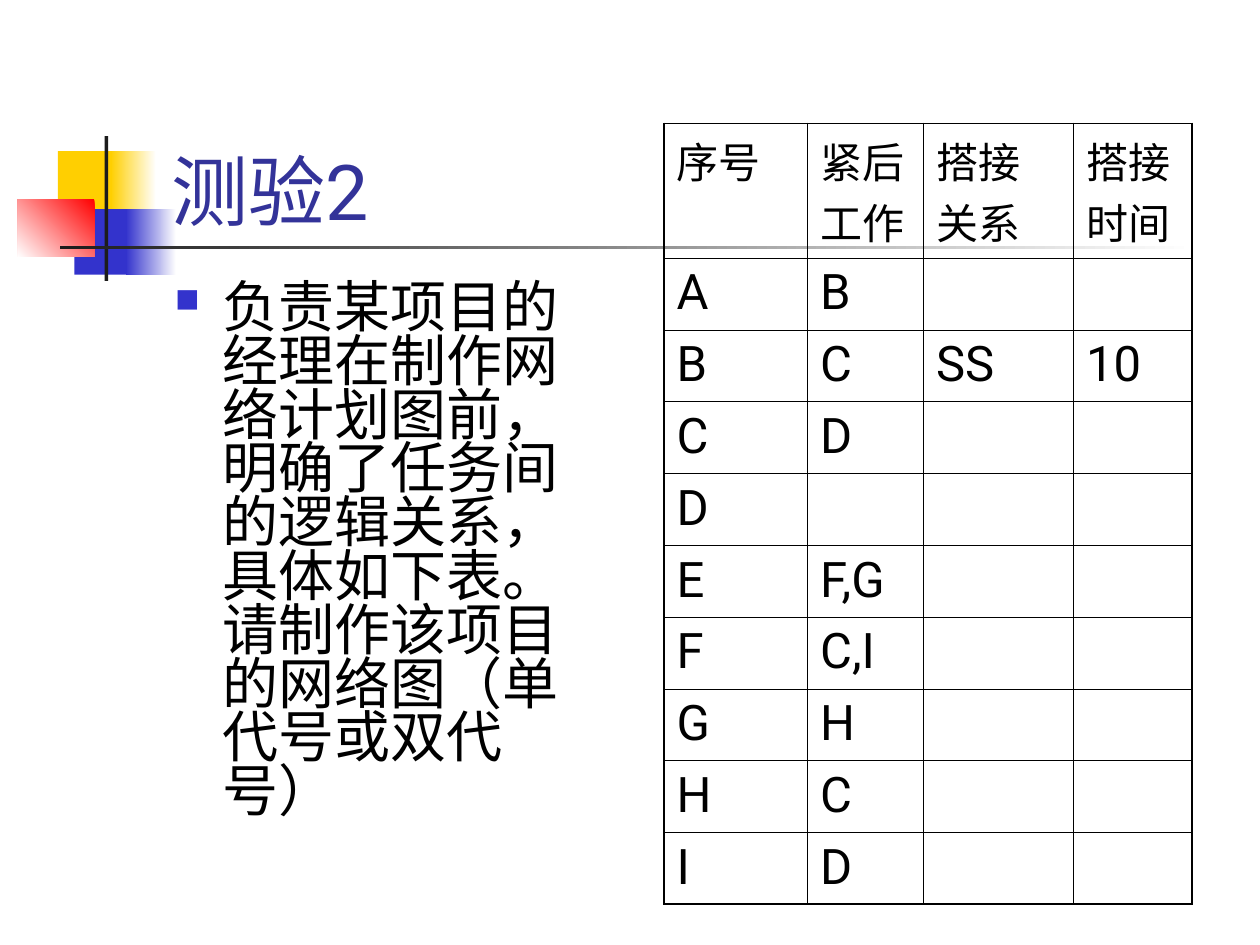
from lxml import etree
from pptx import Presentation
from pptx.dml.color import RGBColor
from pptx.enum.shapes import MSO_SHAPE
from pptx.enum.text import MSO_ANCHOR, MSO_AUTO_SIZE, PP_ALIGN
from pptx.oxml import parse_xml
from pptx.oxml.ns import nsdecls, qn
from pptx.util import Inches, Pt

RECTANGLE = MSO_SHAPE.RECTANGLE
BOTTOM = MSO_ANCHOR.BOTTOM
NO_AUTOFIT = MSO_AUTO_SIZE.NONE
LEFT = PP_ALIGN.LEFT

WHITE = RGBColor(0xFF, 0xFF, 0xFF)
BLACK = RGBColor(0x00, 0x00, 0x00)
CHARCOAL = RGBColor(0x1C, 0x1C, 0x1C)
YELLOW = RGBColor(0xFF, 0xCF, 0x01)
BLUE = RGBColor(0x33, 0x33, 0xCC)
RED = RGBColor(0xFF, 0x00, 0x00)
NAVY = RGBColor(0x33, 0x33, 0x99)
FONT = "Roboto"
THIN, THICK = 0.45, 1.08


def add_run(para, text, size, color):
    span = para.add_run()
    span.text = text
    span.font.name = FONT
    span.font.size = Pt(size)
    span.font.color.rgb = color


def add_border(cell, position, side, width):
    line = parse_xml(
        f'<a:{side} {nsdecls("a")} w="{Pt(width)}"><a:solidFill>'
        f'<a:srgbClr val="{BLACK}"/></a:solidFill></a:{side}>'
    )
    cell._tc.get_or_add_tcPr().insert(position, line)


deck = Presentation()
deck.slide_width = Inches(10)
deck.slide_height = Inches(7.5)
page = deck.slides.add_slide(deck.slide_layouts[5])

decorations = [
    (0.46, 1.2, 0.48, 0.52, [YELLOW], None),
    (0.88, 1.2, 0.36, 0.52, [WHITE, YELLOW], 180),
    (0.59, 1.66, 0.46, 0.52, [BLUE], None),
    (1, 1.66, 0.4, 0.52, [WHITE, BLUE], 180),
    (0.14, 1.58, 0.61, 0.46, [RED, WHITE], 225),
    (0.83, 1.08, 0.03, 1.15, [CHARCOAL], None),
    (0.48, 1.95, 9, 0.03, [WHITE, CHARCOAL], 180),
]
for left, top, width, height, colors, angle in decorations:
    block = page.shapes.add_shape(
        RECTANGLE, Inches(left), Inches(top), Inches(width), Inches(height)
    )
    block.shadow.inherit = False
    block.line.fill.background()
    if angle is None:
        block.fill.solid()
        block.fill.fore_color.rgb = colors[0]
    else:
        block.fill.gradient()
        block.fill.gradient_angle = angle
        for stop, color in zip(block.fill.gradient_stops, colors):
            stop.color.rgb = color

title = page.shapes.title
page.shapes._spTree.append(title._element)
title.left, title.top = Inches(1.26), Inches(0.67)
title.width, title.height = Inches(8.52), Inches(1.25)
title.text_frame.auto_size = NO_AUTOFIT
title.text_frame.vertical_anchor = BOTTOM
title.text_frame.word_wrap = True
title_para = title.text_frame.paragraphs[0]
title_para.alignment = LEFT
add_run(title_para, "测验2", 44, NAVY)

body = page.shapes.add_textbox(Inches(1.29), Inches(2.21), Inches(3.51), Inches(4.5))
body.text_frame.word_wrap = True
body_para = body.text_frame.paragraphs[0]
body_para.line_spacing = 0.8
properties = body_para._p.get_or_add_pPr()
properties.set("marL", str(Inches(0.38)))
properties.set("indent", str(Inches(-0.38)))
bullet_color = etree.SubElement(properties, qn("a:buClr"))
etree.SubElement(bullet_color, qn("a:srgbClr"), val=str(BLUE))
etree.SubElement(properties, qn("a:buSzPct"), val="60000")
etree.SubElement(properties, qn("a:buChar"), char="■")
add_run(
    body_para,
    "负责某项目的经理在制作网络计划图前，明确了任务间的逻辑关系，"
    "具体如下表。请制作该项目的网络图（单代号或双代号）",
    32,
    BLACK,
)

rows = [
    ("序号", "紧后工作", "搭接关系", "搭接时间"),
    ("A", "B", "", ""),
    ("B", "C", "SS", "10"),
    ("C", "D", "", ""),
    ("D", "", "", ""),
    ("E", "F,G", "", ""),
    ("F", "C,I", "", ""),
    ("G", "H", "", ""),
    ("H", "C", "", ""),
    ("I", "D", "", ""),
]
column_widths = [1.14, 0.92, 1.19, 0.94]
last_row, last_column = len(rows) - 1, len(column_widths) - 1
table = page.shapes.add_table(
    len(rows), len(column_widths), Inches(5.27), Inches(0.98), Inches(4.19), Inches(6.2)
).table
table.first_row = False
table.horz_banding = False
for column, width in zip(table.columns, column_widths):
    column.width = Inches(width)

for row_index, texts in enumerate(rows):
    is_header = row_index == 0
    table.rows[row_index].height = Inches(1.07 if is_header else 0.57)
    for column_index, text in enumerate(texts):
        cell = table.cell(row_index, column_index)
        cell.fill.background()
        outer_edges = {
            "lnL": column_index == 0,
            "lnR": column_index == last_column,
            "lnT": is_header,
            "lnB": row_index == last_row,
        }
        for position, (side, is_outer) in enumerate(outer_edges.items()):
            add_border(cell, position, side, THICK if is_outer else THIN)
        if text:
            add_run(cell.text_frame.paragraphs[0], text, 24 if is_header else 28, BLACK)

deck.save("out.pptx")
